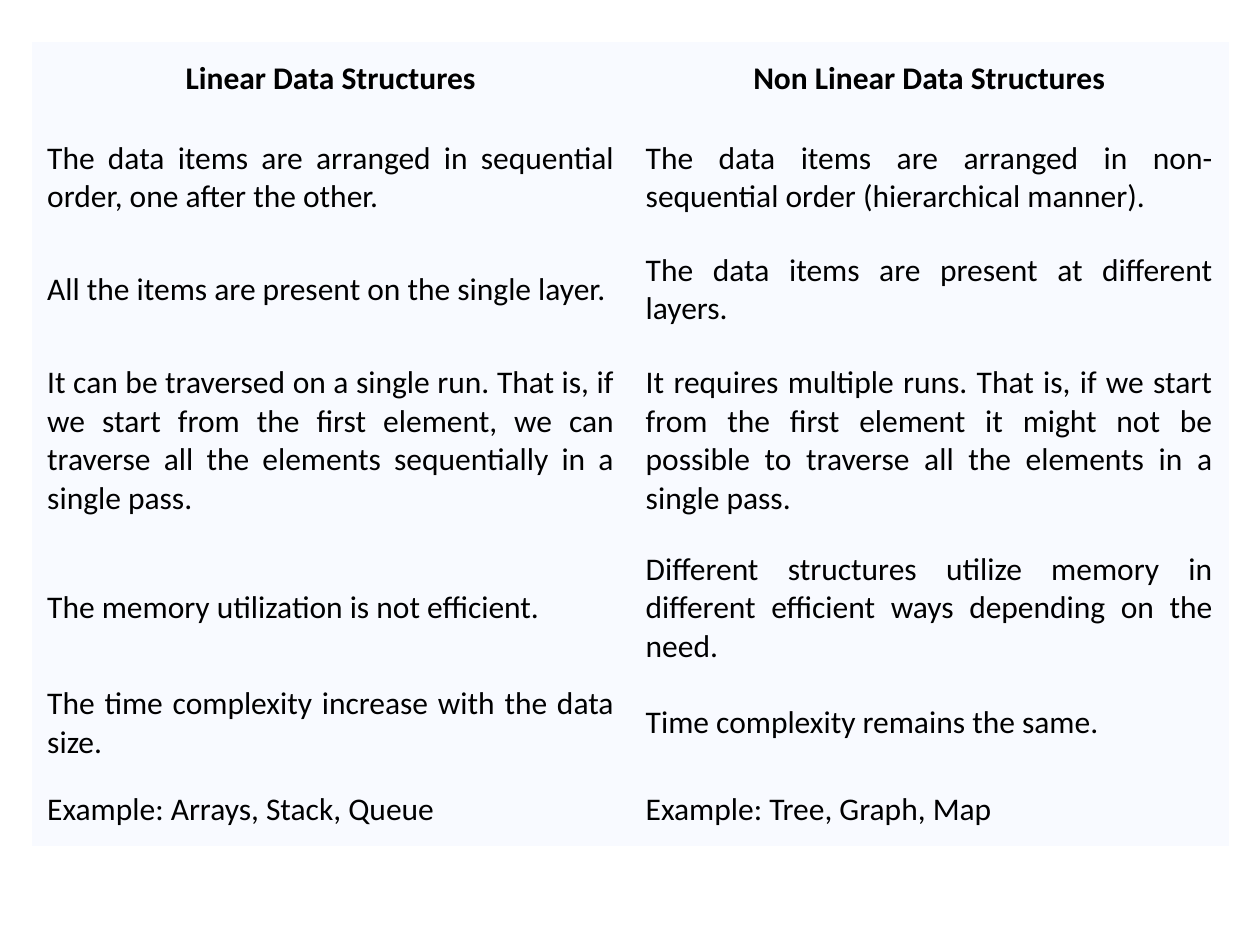
from lxml import etree
from pptx import Presentation
from pptx.dml.color import RGBColor
from pptx.enum import text
from pptx.util import Pt

BLACK = RGBColor(0x00, 0x00, 0x00)
PALE_BLUE = RGBColor(0xF8, 0xFA, 0xFF)
FONT = "Calibri"
PLAIN_STYLE = "{2D5ABB26-0587-4C30-8999-92F81FD0307C}"

COLUMN_WIDTH = 342
HEADER_HEIGHT, SHORT, MEDIUM, TALL = 41.8, 56.9, 71.3, 115.9

COMPARISON = [
    (HEADER_HEIGHT, "Linear Data Structures", "Non Linear Data Structures"),
    (MEDIUM,
     "The data items are arranged in sequential order, one after the other.",
     "The data items are arranged in non-sequential order (hierarchical manner)."),
    (SHORT,
     "All the items are present on the single layer.",
     "The data items are present at different layers."),
    (TALL,
     "It can be traversed on a single run. That is, if we start from the first "
     "element, we can traverse all the elements sequentially in a single pass.",
     "It requires multiple runs. That is, if we start from the first element it "
     "might not be possible to traverse all the elements in a single pass."),
    (MEDIUM,
     "The memory utilization is not efficient.",
     "Different structures utilize memory in different efficient ways depending "
     "on the need."),
    (SHORT,
     "The time complexity increase with the data size.",
     "Time complexity remains the same."),
    (HEADER_HEIGHT, "Example: Arrays, Stack, Queue", "Example: Tree, Graph, Map"),
]


def fill_cell(cell, wording, is_header):
    cell.fill.solid()
    cell.fill.fore_color.rgb = PALE_BLUE
    cell.vertical_anchor = text.MSO_ANCHOR.MIDDLE
    cell.margin_left = cell.margin_right = Pt(9)
    cell.margin_top = cell.margin_bottom = Pt(4.5)
    para = cell.text_frame.paragraphs[0]
    para.alignment = text.PP_ALIGN.CENTER if is_header else text.PP_ALIGN.JUSTIFY
    span = para.add_run()
    span.text = wording
    span.font.name = FONT
    span.font.size = Pt(18)
    span.font.bold = is_header
    span.font.color.rgb = BLACK


def remove_table_style(table):
    table.first_row = False
    table.horz_banding = False
    properties = table._tbl.tblPr
    for child in list(properties):
        properties.remove(child)
    namespace = etree.QName(properties).namespace
    style = etree.SubElement(properties, f"{{{namespace}}}tableStyleId")
    style.text = PLAIN_STYLE


def add_comparison_table(page):
    height = sum(row[0] for row in COMPARISON)
    frame = page.shapes.add_table(len(COMPARISON), 2, Pt(18), Pt(24),
                                  Pt(2 * COLUMN_WIDTH), Pt(height))
    table = frame.table
    remove_table_style(table)
    for column in table.columns:
        column.width = Pt(COLUMN_WIDTH)
    for index, (row_height, *wordings) in enumerate(COMPARISON):
        table.rows[index].height = Pt(row_height)
        for cell, wording in zip(table.rows[index].cells, wordings):
            fill_cell(cell, wording, index == 0)


def main():
    deck = Presentation()
    deck.slide_width, deck.slide_height = Pt(720), Pt(540)
    page = deck.slides.add_slide(deck.slide_layouts[6])
    add_comparison_table(page)
    deck.save("out.pptx")


if __name__ == "__main__":
    main()
